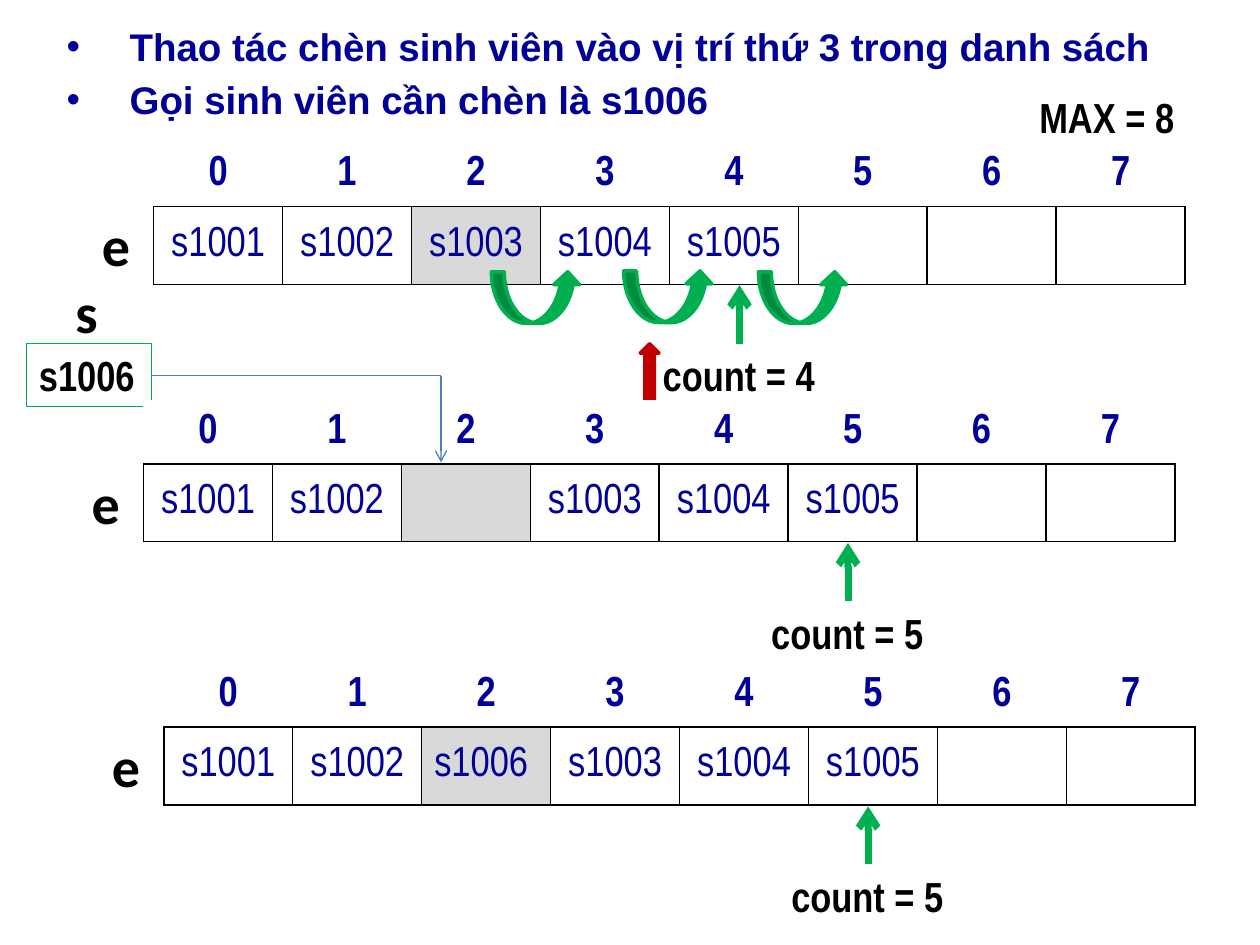
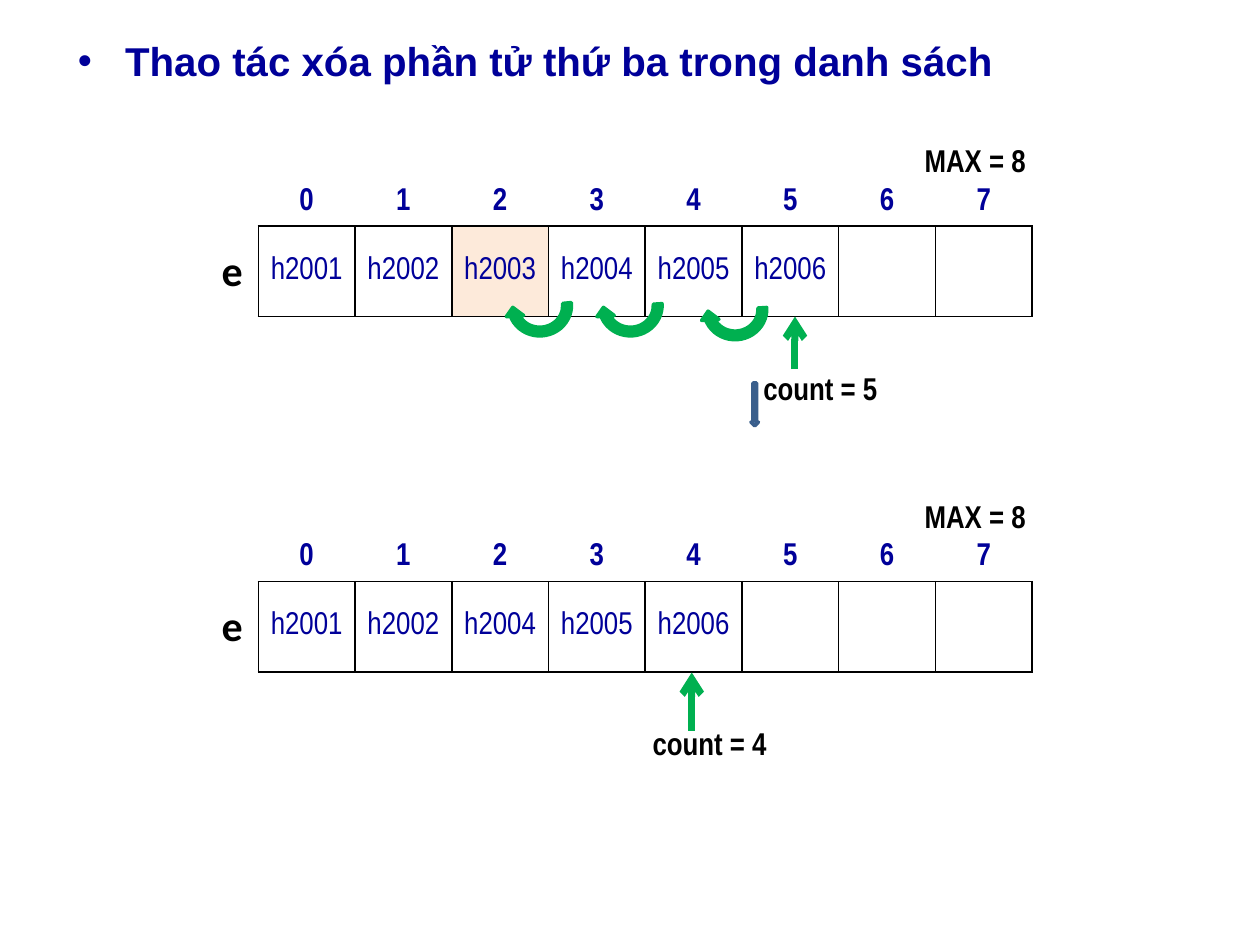
from dataclasses import dataclass
from typing import Any

from lxml.etree import SubElement
from pptx import Presentation
from pptx.dml.color import RGBColor
from pptx.enum.shapes import MSO_CONNECTOR, MSO_SHAPE as SHAPE
from pptx.enum.text import MSO_ANCHOR as ANCHOR, PP_ALIGN as ALIGN
from pptx.oxml.ns import qn
from pptx.util import Pt

# Shared colours
NAVY = RGBColor(0x00, 0x00, 0x99)
BLACK = RGBColor(0x00, 0x00, 0x00)
WHITE = RGBColor(0xFF, 0xFF, 0xFF)
GRAY = RGBColor(0xD9, 0xD9, 0xD9)
PEACH = RGBColor(0xFD, 0xEA, 0xDA)
GREEN = RGBColor(0x00, 0xB0, 0x50)
RED = RGBColor(0xC0, 0x00, 0x00)
BLUE = RGBColor(0x4F, 0x81, 0xBD)
DARK_BLUE = RGBColor(0x3A, 0x5F, 0x8C)
LINK_BLUE = RGBColor(0x4B, 0x7E, 0xBC)

SLOTS = 8  # MAX, the capacity of the list


@dataclass
class Board:
    """Draws array diagrams on the current slide; lengths are points."""
    prs: Any
    size: float = 24             # index, cell and label text
    name_size: float = 32        # array name
    col: float = 73.7
    rows: tuple = (34, 44.5)
    inset: tuple = (7.2, 3.6)
    name_box: tuple = (-36.7, 35, 25.2, 46)  # relative to the table
    mark: RGBColor = GRAY        # fill of the highlighted cell
    s: Any = None

    def new_slide(self, **style):
        for key, value in style.items():
            setattr(self, key, value)
        self.s = self.prs.slides.add_slide(self.prs.slide_layouts[6])

    def add_text(self, p, text, color=BLACK, **font):
        r = p.add_run()
        r.text = text
        r.font.color.rgb = color
        values = dict(name="Arial Narrow", size=Pt(self.size), bold=True)
        for key, value in (values | font).items():
            setattr(r.font, key, value)

    def label(self, x, y, w, h, text, **font):
        tf = self.s.shapes.add_textbox(Pt(x), Pt(y), Pt(w), Pt(h)).text_frame
        tf.word_wrap = True
        self.add_text(tf.paragraphs[0], text, **font)

    def name(self, x, y, w, h, text):
        self.label(x, y, w, h, text, name="Calibri", size=Pt(self.name_size))

    def title(self, x, y, w, h, lines, size, indent):
        tf = self.s.shapes.add_textbox(Pt(x), Pt(y), Pt(w), Pt(h)).text_frame
        tf.word_wrap = True
        for i, line in enumerate(lines):
            p = tf.add_paragraph() if i else tf.paragraphs[0]
            p.alignment = ALIGN.JUSTIFY
            p.space_before = Pt(size * 0.2)
            self.add_text(p, line, NAVY, name="Arial", size=Pt(size))
            pPr = p._p.get_or_add_pPr()
            pPr.set("marL", str(Pt(indent)))
            pPr.set("indent", str(-Pt(indent)))
            SubElement(pPr, qn("a:buFont"), typeface="Arial")
            SubElement(pPr, qn("a:buChar"), char="•")

    def border(self, cell, sides):
        tcPr = cell._tc.get_or_add_tcPr()
        for i, side in enumerate(sides):
            ln = SubElement(tcPr, qn("a:ln" + side), w=str(Pt(1)))
            fill = SubElement(ln, qn("a:solidFill"))
            SubElement(fill, qn("a:srgbClr"), val=str(BLACK))
            tcPr.insert(i, ln)  # borders come before the fill

    def array(self, x, y, values, marked=None, left=None):
        """Index row above a row of cells, with the array name at the left."""
        frame = self.s.shapes.add_table(2, SLOTS, Pt(x), Pt(y),
                                        Pt(self.col * SLOTS), Pt(sum(self.rows)))
        table = frame.table
        table.first_row = table.horz_banding = False
        for row, height in zip(table.rows, self.rows):
            row.height = Pt(height)
        dx, dy = map(Pt, self.inset)
        layout = dict(vertical_anchor=ANCHOR.MIDDLE, margin_left=dx,
                      margin_right=dx, margin_top=dy, margin_bottom=dy)
        for c in range(SLOTS):
            table.columns[c].width = Pt(self.col)
            value = values[c] if c < len(values) else ""
            for r, text in enumerate((str(c), value)):
                cell = table.cell(r, c)
                for key, setting in layout.items():
                    setattr(cell, key, setting)
                cell.fill.solid()
                cell.fill.fore_color.rgb = self.mark if r and c == marked else WHITE
                self.border(cell, "LRTB" if r else "B")
                p = cell.text_frame.paragraphs[0]
                p.alignment = ALIGN.LEFT if r and c == left else ALIGN.CENTER
                if text:
                    self.add_text(p, text, NAVY, bold=r == 0)
        nx, ny, w, h = self.name_box
        self.name(x + nx, y + ny, w, h, "e")

    def line(self, x1, y1, x2, y2, color=GREEN, width=4.0, arrow=True):
        c = self.s.shapes.add_connector(MSO_CONNECTOR.STRAIGHT,
                                        Pt(x1), Pt(y1), Pt(x2), Pt(y2))
        c.line.color.rgb = color
        c.line.width = Pt(width)
        spPr = c._element.spPr
        if arrow:
            SubElement(spPr.find(qn("a:ln")), qn("a:tailEnd"), type="arrow")
        SubElement(spPr, qn("a:effectLst"))

    def shape(self, kind, x, y, w, h, fill=GREEN, line=GREEN, width=2.0, rot=0):
        sp = self.s.shapes.add_shape(kind, Pt(x), Pt(y), Pt(w), Pt(h))
        sp.shadow.inherit = False
        sp.rotation = rot
        sp.line.color.rgb = line
        sp.line.width = Pt(width)
        if fill is None:
            sp.fill.background()
        else:
            sp.fill.solid()
            sp.fill.fore_color.rgb = fill
        return sp

    def count(self, x, top, bottom, n, dx, dy, w, h):
        """Arrow up to the last used cell, and its label below."""
        self.label(x + dx, bottom + dy, w, h, f"count = {n}")
        self.line(x, bottom, x, top)


prs = Presentation()
prs.slide_width, prs.slide_height = Pt(720), Pt(540)
b = Board(prs)

# Slide 1: insert at the third position
b.new_slide()
b.title(31, 9.4, 663, 62.6,
        ["Thao tác chèn sinh viên vào vị trí thứ 3 trong danh sách",
         "Gọi sinh viên cần chèn là s1006"], 22, 36)
students = [f"s100{i}" for i in range(1, 6)]
COUNT_BOX = (-51, 0, 102, 36)

# Before: the list, the shifts and the new element
b.array(87.8, 82, students, marked=2)
b.label(586.8, 49, 102, 36, "MAX = 8")
b.count(422.6, 163, 196.4, 4, *COUNT_BOX)
b.name(36, 154.8, 25.2, 46, "s")
box = b.shape(SHAPE.RECTANGLE, 15.1, 196.4, 71.4, 36, fill=None, width=0.75)
box.text_frame.vertical_anchor = ANCHOR.TOP
p = box.text_frame.paragraphs[0]
p.alignment = ALIGN.LEFT
b.add_text(p, "s1006")
for x, y in ((356.4, 154.8), (280.8, 155.3), (433.4, 155.3)):
    b.shape(SHAPE.CURVED_UP_ARROW, x, y, 51, 29.5)
b.shape(SHAPE.UP_ARROW, 365.8, 196.4, 10.8, 36, RED, RED)

# Gap opened at index 2
b.array(82, 229, students[:2] + [""] + students[2:], marked=2)
b.count(484.6, 310.3, 343.6, 5, *COUNT_BOX)
b.line(87, 214.6, 252, 214.6, LINK_BLUE, 0.75, arrow=False)
b.line(252, 214.6, 252, 264.2, LINK_BLUE, 0.75)

# After: new element in place
b.array(93.6, 379.4, students[:2] + ["s1006"] + students[2:], marked=2, left=2)
b.count(496.1, 460.8, 494, 5, *COUNT_BOX)

# Slide 2: remove the third element
b.new_slide(size=18, name_size=24, col=55.3, rows=(27, 51.8), inset=(5, 2.7),
            name_box=(-28, 34, 19.4, 36), mark=PEACH)
b.title(37.4, 17.3, 568.8, 33.8,
        ["Thao tác xóa phần tử thứ ba trong danh sách"], 23, 27)
items = [f"h200{i}" for i in range(1, 7)]
after = items[:2] + items[3:]
for y, values, marked in ((102.2, items, 2), (305.3, after, None)):
    b.array(147.6, y, values, marked)
    b.label(521.3, y - 25, 76.3, 29, "MAX = 8")
b.count(454.3, 180.9, 211, 5, -25.2, -3.6, 93, 29)
b.count(395.3, 384.3, 417.6, 4, -29.5, -7.2, 103.7, 29)
for x, y, start in ((288, 154.8, 107), (339.8, 154.8, 108.17), (399.6, 157, 108.17)):
    sp = b.shape(SHAPE.CIRCULAR_ARROW, x, y, 41, 39.6, rot=176.2)
    sp.adjustments[3] = start
b.shape(SHAPE.DOWN_ARROW, 429.1, 218.9, 4.3, 24.5, BLUE, DARK_BLUE)

prs.save("out.pptx")
